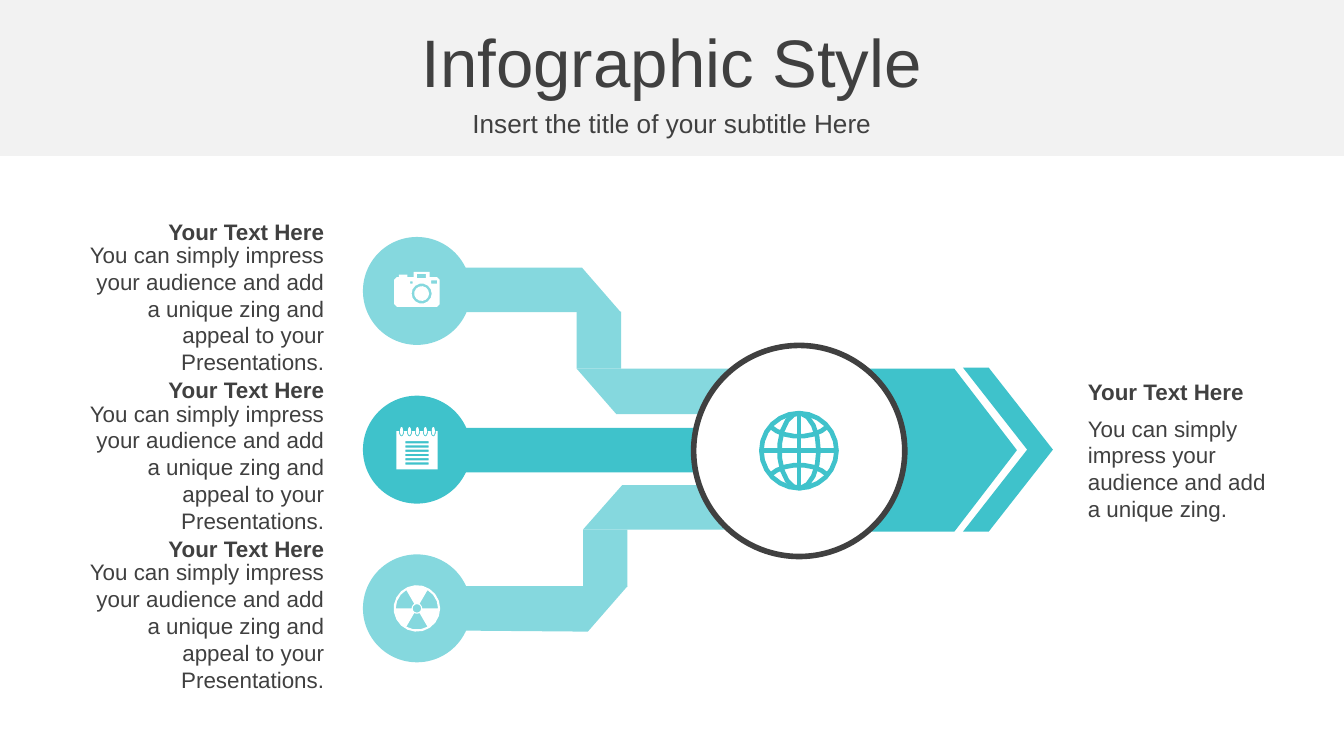
from math import cos, radians, sin
from pptx import Presentation
from pptx.dml.color import RGBColor
from pptx.enum.shapes import MSO_SHAPE
from pptx.enum.text import MSO_ANCHOR, MSO_AUTO_SIZE, PP_ALIGN
from pptx.util import Cm, Pt

theme = {
    "font": "Arial", "ink": "404040", "band": "F2F2F2", "white": "FFFFFF",
    "light": "85D8DE", "teal": "3FC2CB",
    "title": 36, "sub": 14, "body": 12, "rim": 3, "wire": 2.5,
}

head = "Infographic Style"
sub = "Insert the title of your subtitle Here"
long = ("You can simply impress your audience and add a unique zing "
        "and appeal to your Presentations.")
items = [("Your Text Here", long, "light"),
         ("Your Text Here", long, "teal"),
         ("Your Text Here", long, "light")]
goal = ("Your Text Here", "You can simply impress your audience and add a unique zing.")

bends = [
    [(10.9, 6.97), (14.1, 6.97), (14.1, 7.83), (11.65, 7.83)],
    [(8.79, 5.06), (11, 5.06), (11.73, 5.9), (8.79, 5.9)],
    [(11.86, 11.08), (8.66, 11.08), (8.66, 11.92), (11.11, 11.94)],
    [(13.97, 9.17), (11.76, 9.17), (11.02, 10.01), (13.97, 10.01)],
]
stems = [(10.9, 5.89, 0.84, 1.08), (11.02, 10.01, 0.84, 1.08)]
step, disc = 3, 2.04
left, top = 6.86, 4.48

deck = Presentation()
deck.slide_width, deck.slide_height = Cm(25.4), Cm(14.29)
slide = deck.slides.add_slide(deck.slide_layouts[6])


def tint(name):
    return RGBColor.from_string(theme[name])


def paint(shape, fill=None, line=None, width=0):
    shape.shadow.inherit = False
    if fill:
        shape.fill.solid()
        shape.fill.fore_color.rgb = tint(fill)
    else:
        shape.fill.background()
    if line:
        shape.line.color.rgb = tint(line)
        shape.line.width = Pt(width)
    else:
        shape.line.fill.background()


def block(kind, box, fill, adjust=None, **style):
    shape = slide.shapes.add_shape(kind, *map(Cm, box))
    if adjust is not None:
        shape.adjustments[0] = adjust
    paint(shape, fill, **style)


def draw(paths, x=0, y=0, close=True, **style):
    paths = [[(Cm(x + a), Cm(y + b)) for a, b in path] for path in paths]
    pen = slide.shapes.build_freeform(*paths[0][0])
    for num, path in enumerate(paths):
        if num:
            pen.move_to(*path[0])
        pen.add_line_segments(path[1:], close=close)
    paint(pen.convert_to_shape(), **style)


def write(text, box, size="body", bold=False, align=PP_ALIGN.LEFT, grow=True, inset=0.25):
    frame = slide.shapes.add_textbox(*map(Cm, box)).text_frame
    frame.word_wrap = True
    frame.margin_left = Cm(inset)
    frame.auto_size = MSO_AUTO_SIZE.SHAPE_TO_FIT_TEXT if grow else MSO_AUTO_SIZE.NONE
    frame.vertical_anchor = MSO_ANCHOR.MIDDLE
    para = frame.paragraphs[0]
    para.alignment = align
    run = para.add_run()
    run.text = text
    run.font.name, run.font.size, run.font.bold = theme["font"], Pt(theme[size]), bold
    run.font.color.rgb = tint("ink")


def arc(x, y, wide, high, start=0, end=360):
    span = end - start
    count = max(3, round(abs(span) / 360 * (10 + 20 * wide)))
    turns = [radians(start + span * i / count) for i in range(count + 1)]
    return [(x + wide * cos(t), y + high * sin(t)) for t in turns]


def rect(x, y, right, base):
    return [(x, y), (right, y), (right, base), (x, base)]


def wedge(start):
    return arc(0, 0, 0.4, 0.4, start, start + 60) + arc(0, 0, 0.1, 0.1, start + 60, start)


case = [(-0.38, -0.26), (-0.34, -0.26), (-0.34, -0.31), (-0.18, -0.31), (-0.18, -0.26),
        (-0.06, -0.26), (-0.06, -0.36), (0.24, -0.36), (0.24, -0.26), (0.38, -0.26),
        (0.43, -0.21), (0.43, 0.25), (0.38, 0.3), (-0.38, 0.3), (-0.43, 0.25),
        (-0.43, -0.21)]
photo = [case, rect(0, -0.32, 0.17, -0.24), rect(-0.13, -0.18, -0.08, -0.14),
         rect(0.27, -0.2, 0.38, -0.14), arc(0.09, 0.05, 0.19, 0.19),
         arc(0.09, 0.05, 0.14, 0.14)]
rings = [-0.29 + 0.15 * i for i in range(5)]
rows = [-0.16 + 0.08 * i for i in range(6)]
notes = ([rect(-0.39, -0.35, 0.39, 0.37)]
         + [rect(-0.22, y, 0.22, y + 0.04) for y in rows]
         + [arc(x, -0.35, 0.05, 0.1, 0, 180) for x in rings]
         + [arc(x, -0.35, 0.03, 0.08) for x in rings])
atom = ([arc(0, 0, 0.44, 0.44), arc(0, 0, 0.08, 0.08)]
        + [wedge(turn) for turn in (60, 180, 300)])
globe = [arc(0, 0, 0.71, 0.71), arc(0, 0, 0.37, 0.71),
         [(0, -0.71), (0, 0.71)], [(-0.71, 0), (0.71, 0)],
         arc(0, -0.74, 0.68, 0.47, 36, 144), arc(0, 0.74, 0.68, 0.47, 216, 324)]

block(MSO_SHAPE.RECTANGLE, (0, 0, 25.4, 2.95), "band")
write(head, (0, 0.34, 25.4, 1.6), size="title", align=PP_ALIGN.CENTER, grow=False)
write(sub, (0, 1.94, 25.4, 0.79), size="sub", align=PP_ALIGN.CENTER, grow=False)

for bend in bends:
    draw([bend], fill="light")
for stem in stems:
    block(MSO_SHAPE.RECTANGLE, stem, "light")

for i, ((name, body, hue), icon) in enumerate(zip(items, (photo, notes, atom))):
    drop = step * i
    block(MSO_SHAPE.OVAL, (left, top + drop, disc, disc), hue)
    draw(icon, left + disc / 2, top + drop + disc / 2, fill="white")
    write(body, (1.22, 4.67 + drop, 5.16, 2.31), align=PP_ALIGN.RIGHT, inset=0.4)
    write(name, (1.22, 3.99 + drop, 5.16, 0.76), bold=True, align=PP_ALIGN.RIGHT)

block(MSO_SHAPE.PENTAGON, (16.1, 6.97, 3.12, 3.08), "teal", adjust=0.384)
block(MSO_SHAPE.RECTANGLE, (8.71, 8.09, 5.36, 0.84), "teal")
block(MSO_SHAPE.OVAL, (13.11, 6.53, 3.99, 3.99), "white", line="ink", width=theme["rim"])
block(MSO_SHAPE.CHEVRON, (18.2, 6.95, 1.7, 3.1), "teal", adjust=0.714)
write(goal[1], (20.31, 7.7, 4.19, 2.31))
write(goal[0], (20.31, 7.02, 4.19, 0.76), bold=True)
draw(globe, 15.1, 8.52, close=False, line="teal", width=theme["wire"])

deck.save("out.pptx")
